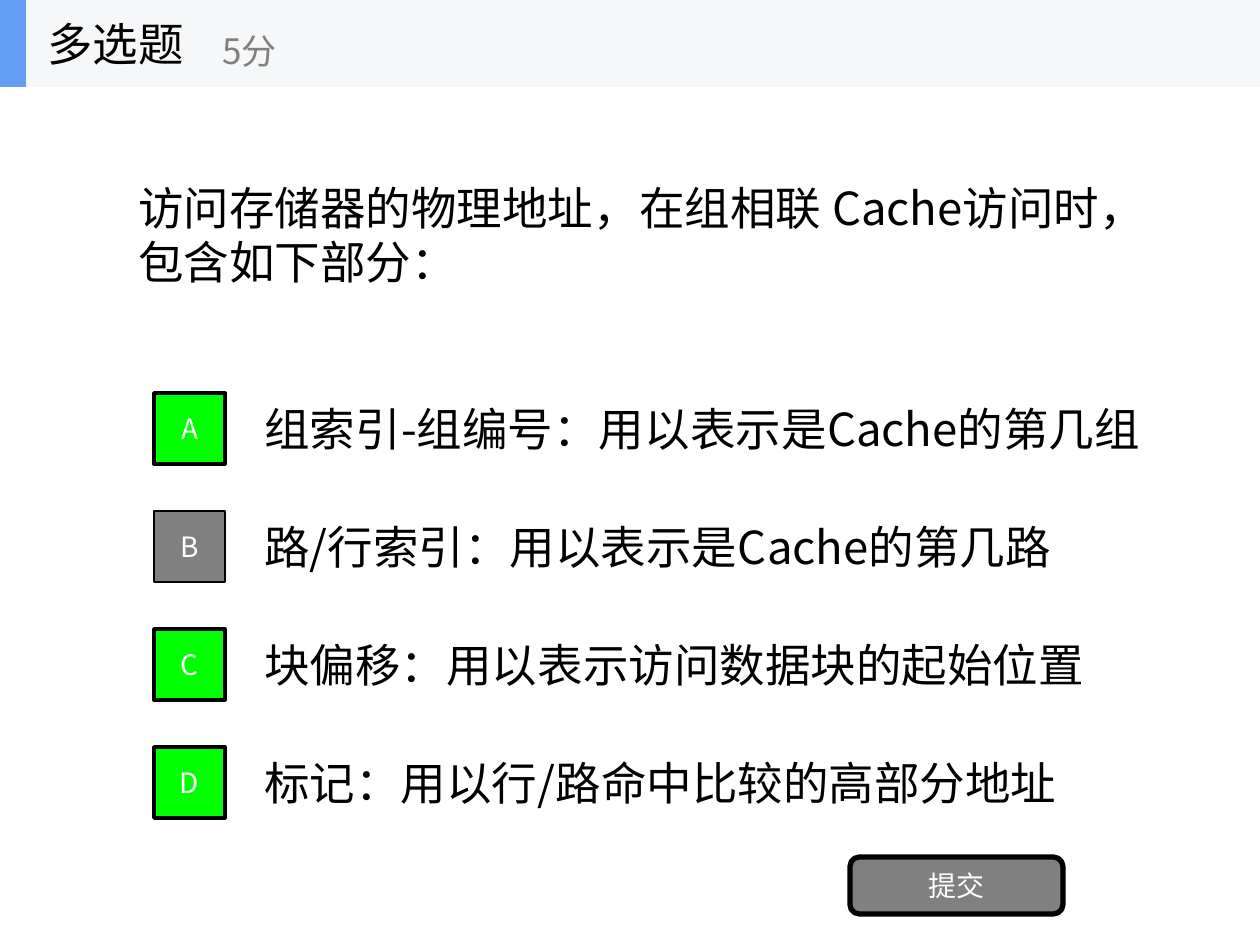
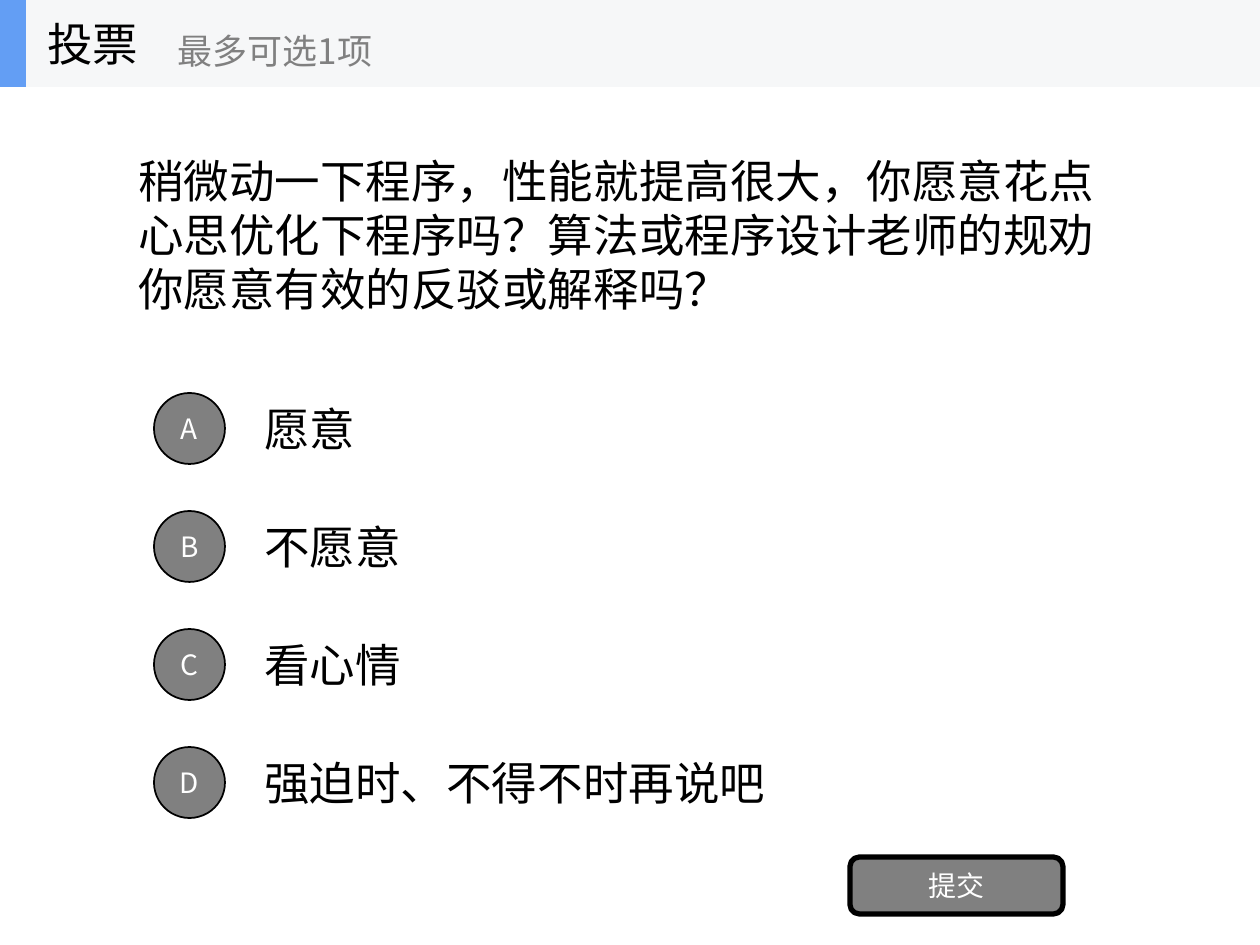
from pptx import Presentation
from pptx.dml.color import RGBColor
from pptx.enum.shapes import MSO_SHAPE
from pptx.enum.text import MSO_ANCHOR, PP_ALIGN
from pptx.oxml.ns import qn
from pptx.util import Emu, Pt

PX_PER_INCH = 126
FONT = "Noto Sans CJK SC"
BLACK, WHITE, GREY = "000000", "FFFFFF", "808080"
BAND, ACCENT, CORRECT = "F6F7F8", "639EF4", "00FF00"
HEADER_HEIGHT = 87
FIRST_OPTION, OPTION_PITCH, BADGE_SIZE = 393, 118, 71


def px(length):
    """Convert pixels to EMU."""
    return Emu(round(length * 914400 / PX_PER_INCH))


def color(hex_string):
    """Turn a hex string into a colour."""
    return RGBColor.from_string(hex_string)


def write(frame, text, size=26, ink=BLACK, align=PP_ALIGN.LEFT, spacing=None):
    """Write one vertically centred paragraph into a text frame."""
    frame.word_wrap = True
    frame.vertical_anchor = MSO_ANCHOR.MIDDLE
    paragraph = frame.paragraphs[0]
    paragraph.alignment = align
    if spacing:
        paragraph.line_spacing = Pt(spacing)
    run = paragraph.add_run()
    run.text = text
    run.font.name = FONT
    run.font.size = Pt(size)
    run.font.color.rgb = color(ink)
    east_asian = run.font._element.makeelement(qn("a:ea"), {"typeface": FONT})
    run.font._element.find(qn("a:latin")).addnext(east_asian)


def add_text(shapes, box, text, **style):
    """Add a text box at a pixel box."""
    write(shapes.add_textbox(*map(px, box)).text_frame, text, **style)


def add_block(shapes, kind, box, fill, line_width=0, label=None):
    """Add a filled shape with an optional outline and white label."""
    block = shapes.add_shape(kind, *map(px, box))
    block.shadow.inherit = False
    block.fill.solid()
    block.fill.fore_color.rgb = color(fill)
    if line_width:
        block.line.color.rgb = color(BLACK)
        block.line.width = Pt(line_width)
    else:
        block.line.fill.background()
    if label:
        write(block.text_frame, label, size=16, ink=WHITE, align=PP_ALIGN.CENTER)


def add_header(slide, title, hint, hint_left):
    """Add the top band with the question type and its hint."""
    header = slide.shapes.add_group_shape().shapes
    add_block(header, MSO_SHAPE.RECTANGLE, (0, 0, 1260, HEADER_HEIGHT), BAND)
    add_block(header, MSO_SHAPE.RECTANGLE, (0, 0, 26, HEADER_HEIGHT), ACCENT)
    add_text(header, (35, 0, 262, HEADER_HEIGHT), title)
    add_text(header, (hint_left, 15, 315, 71), hint, size=20, ink=GREY)


def add_options(slide, options, badge, correct):
    """Add lettered options, marking the correct ones."""
    for row, (letter, option) in enumerate(zip("ABCD", options)):
        top = FIRST_OPTION + row * OPTION_PITCH
        is_correct = letter in correct
        add_text(slide.shapes, (252, top - 9, 954, 88), option)
        add_block(slide.shapes, badge, (154, top, BADGE_SIZE, BADGE_SIZE),
                  CORRECT if is_correct else GREY, 2 if is_correct else 1, letter)


def add_question_slide(deck, title, hint, hint_left, question, options, badge, correct=""):
    """Add a complete question slide."""
    slide = deck.slides.add_slide(deck.slide_layouts[6])
    add_text(slide.shapes, (126, HEADER_HEIGHT, 1008, 295), question, spacing=31)
    add_options(slide, options, badge, correct)
    add_block(slide.shapes, MSO_SHAPE.ROUNDED_RECTANGLE, (850, 857, 213, 57), GREY, 3, "提交")
    add_header(slide, title, hint, hint_left)


def main():
    """Build and save the deck."""
    deck = Presentation()
    deck.slide_width, deck.slide_height = px(1260), px(945)
    add_question_slide(
        deck, "多选题", "5分", 210,
        "访问存储器的物理地址，在组相联 Cache访问时，包含如下部分：",
        ["组索引-组编号：用以表示是Cache的第几组",
         "路/行索引：用以表示是Cache的第几路",
         "块偏移：用以表示访问数据块的起始位置",
         "标记：用以行/路命中比较的高部分地址"],
        MSO_SHAPE.RECTANGLE, correct="ACD")
    add_question_slide(
        deck, "投票", "最多可选1项", 165,
        "稍微动一下程序，性能就提高很大，你愿意花点心思优化下程序吗？"
        "算法或程序设计老师的规劝你愿意有效的反驳或解释吗？",
        ["愿意", "不愿意", "看心情", "强迫时、不得不时再说吧"],
        MSO_SHAPE.OVAL)
    deck.save("out.pptx")


if __name__ == "__main__":
    main()
